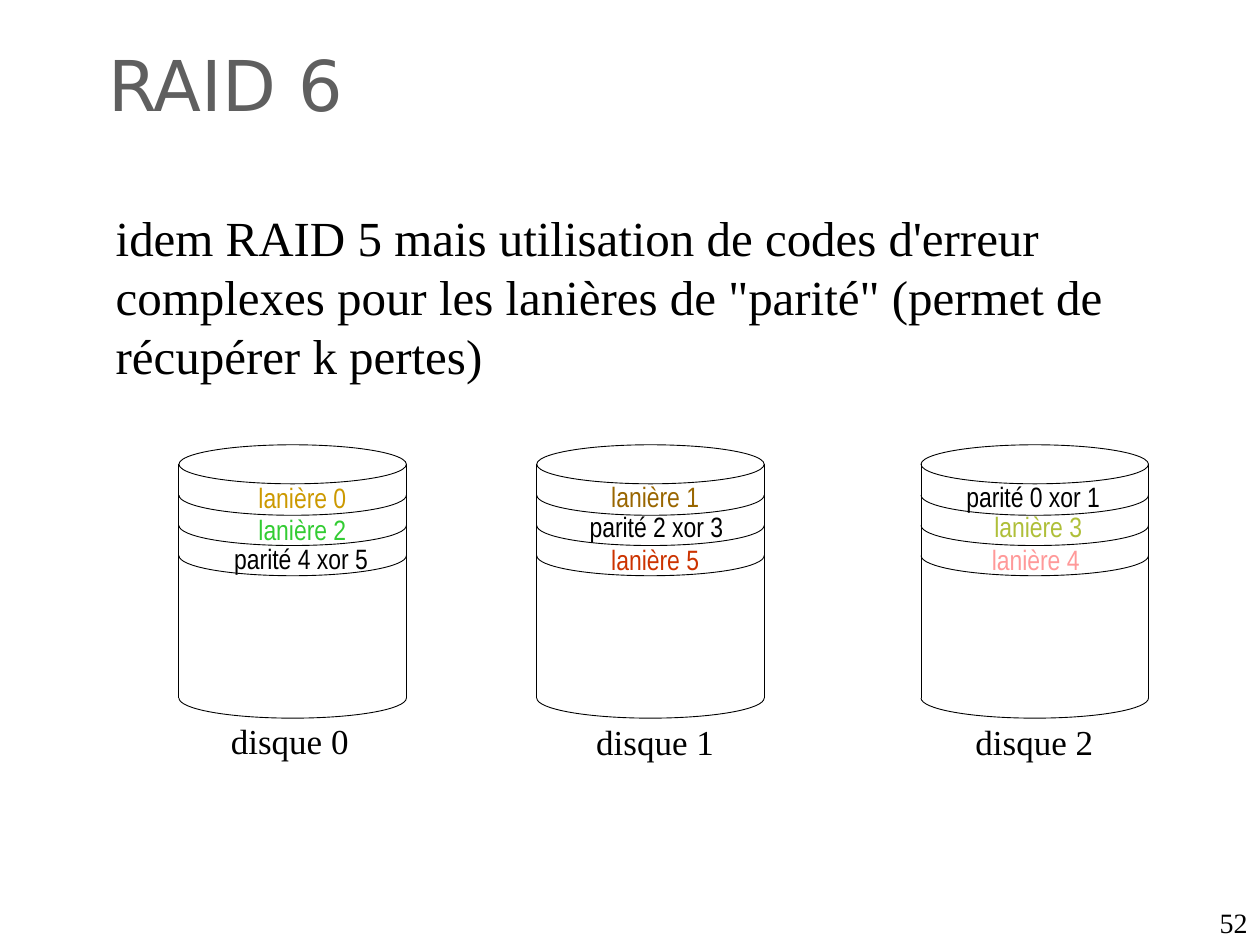
"""Build the RAID 6 slide: three disks holding striped data and parity."""
from lxml import etree
from pptx import Presentation
from pptx.dml.color import RGBColor
from pptx.enum.shapes import MSO_CONNECTOR, MSO_SHAPE
from pptx.enum.text import MSO_ANCHOR, PP_ALIGN
from pptx.oxml.ns import qn
from pptx.util import Inches, Pt

LEFT, MID, RIGHT = PP_ALIGN.LEFT, PP_ALIGN.CENTER, PP_ALIGN.RIGHT
TOP, CENTER, BOTTOM = MSO_ANCHOR.TOP, MSO_ANCHOR.MIDDLE, MSO_ANCHOR.BOTTOM
OVAL, STRAIGHT = MSO_SHAPE.OVAL, MSO_CONNECTOR.STRAIGHT

COLORS = {
    "black": "000000", "gray": "5F5F5F", "gold": "CC9900", "green": "33CC33",
    "brown": "996600", "red": "CC3300", "olive": "AFBF39", "pink": "FF9999",
}
SERIF, NARROW = "Times New Roman", "Arial Narrow"
WIDTH, DEPTH, RIM, BASE = 1.805, 0.16, 3.68, 5.54
BANDS = [3.93, 4.17, 4.41]
CURVE = [(0, 0), (0, 0.55), (0.22, 1), (0.5, 1), (0.78, 1), (1, 0.55), (1, 0)]

DISKS = [
    (1.42, (1.37, 5.66), "disque 0", [
        ("lanière 0", "gold", 1.72, 3.8),
        ("lanière 2", "green", 1.72, 4.05),
        ("parité 4 xor 5", "black", 1.71, 4.28)]),
    (4.26, (4.27, 5.67), "disque 1", [
        ("lanière 1", "brown", 4.52, 3.79),
        ("parité 2 xor 3", "black", 4.53, 4.03),
        ("lanière 5", "red", 4.52, 4.29)]),
    (7.31, (7.28, 5.67), "disque 2", [
        ("parité 0 xor 1", "black", 7.52, 3.79),
        ("lanière 3", "olive", 7.56, 4.03),
        ("lanière 4", "pink", 7.54, 4.29)]),
]

deck = Presentation()
deck.slide_width, deck.slide_height = Inches(10), Inches(7.5)
slide = deck.slides.add_slide(deck.slide_layouts[6])
shapes = slide.shapes


def write(text, box, size, font=SERIF, color="black", align=LEFT,
          anchor=TOP, wrap=True):
    frame = shapes.add_textbox(*map(Inches, box)).text_frame
    frame.word_wrap = wrap
    frame.vertical_anchor = anchor
    para = frame.paragraphs[0]
    para.alignment = align
    run = para.add_run()
    run.text = text
    run.font.size = Pt(size)
    run.font.name = font
    run.font.color.rgb = RGBColor.from_string(COLORS[color])


def ink(line):
    line.color.rgb = RGBColor.from_string(COLORS["black"])
    line.width = Pt(0.5)


write("RAID 6", (0.76, 0.28, 2.87, 0.87), 40, font="DejaVu Sans",
      color="gray")
write("idem RAID 5 mais utilisation de codes d'erreur complexes pour les "
      "lanières de \"parité\" (permet de récupérer k pertes)",
      (0.82, 1.6, 8.5, 1.16), 28)

for left, spot, name, strips in DISKS:
    lid = shapes.add_shape(OVAL, Inches(left), Inches(RIM - 0.15),
                           Inches(WIDTH), Inches(0.31))
    lid.shadow.inherit = False
    lid.fill.background()
    ink(lid.line)

    for x in (left, left + WIDTH):
        side = shapes.add_connector(STRAIGHT, Inches(x), Inches(BASE),
                                    Inches(x), Inches(RIM))
        etree.SubElement(side._element.spPr, qn("a:effectLst"))
        ink(side.line)

    for y in BANDS + [BASE]:
        dots = [(Inches(left + WIDTH * u), Inches(y + DEPTH * v))
                for u, v in CURVE]
        pen = shapes.build_freeform(*dots[0])
        pen.add_line_segments(dots[1:], close=False)
        arc = pen.convert_to_shape()
        route = arc._element.spPr.find(".//" + qn("a:path"))
        legs = route.findall(qn("a:lnTo"))
        for k in range(0, len(legs), 3):
            bend = etree.SubElement(route, qn("a:cubicBezTo"))
            for leg in legs[k:k + 3]:
                bend.append(leg[0])
                route.remove(leg)
        arc.shadow.inherit = False
        arc.fill.background()
        ink(arc.line)

    for text, color, x, y in strips:
        write(text, (x, y, 1.36, 0.3), 16, font=NARROW, color=color,
              align=MID, anchor=CENTER, wrap=False)
    write(name, (*spot, 1.86, 0.44), 20, align=MID)

write("52", (7.67, 7.14, 2.33, 0.36), 16, align=RIGHT, anchor=BOTTOM)

deck.save("out.pptx")
